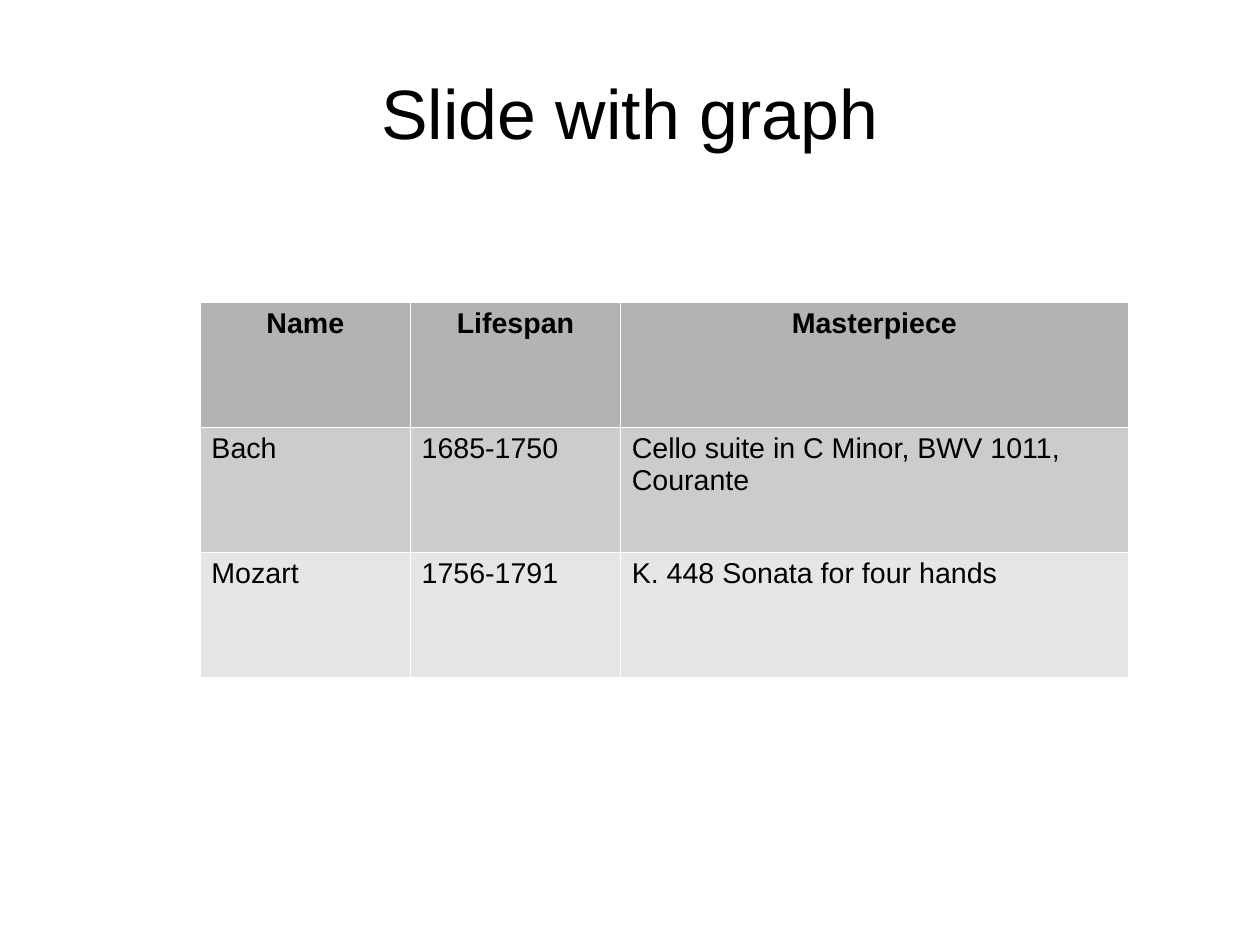
from dataclasses import dataclass

from lxml import etree
from pptx import Presentation
from pptx.dml.color import RGBColor
from pptx.enum.text import MSO_ANCHOR, PP_ALIGN
from pptx.oxml.ns import qn
from pptx.util import Cm, Pt

CENTER, LEFT = PP_ALIGN.CENTER, PP_ALIGN.LEFT
TOP, MIDDLE = MSO_ANCHOR.TOP, MSO_ANCHOR.MIDDLE
TITLE_ONLY = 5


@dataclass(frozen=True)
class Theme:
    font: str = "Arial"
    text: str = "000000"
    border: str = "FFFFFF"
    row_fills: tuple = ("B3B3B3", "CCCCCC", "E6E6E6")
    title_size: int = 44
    table_size: int = 18
    border_width: float = 0.06


THEME = Theme()
COMPOSERS = [
    ("Name", "Lifespan", "Masterpiece"),
    ("Bach", "1685-1750", "Cello suite in C Minor, BWV 1011, Courante"),
    ("Mozart", "1756-1791", "K. 448 Sonata for four hands"),
]
COLUMN_WIDTHS = (4.67, 4.67, 11.28)
ROW_HEIGHT = 2.78


def set_attrs(obj, values):
    for name, value in values.items():
        setattr(obj, name, value)


def write(tf, text, size, align, bold=False):
    p = tf.paragraphs[0]
    p.alignment = align
    r = p.add_run()
    r.text = text
    set_attrs(r.font, {"name": THEME.font, "size": Pt(size), "bold": bold})
    r.font.color.rgb = RGBColor.from_string(THEME.text)
    return p


def add_title(slide, text):
    sp = slide.shapes.title
    set_attrs(sp, {"left": Cm(1.4), "top": Cm(0.84),
                   "width": Cm(25.2), "height": Cm(3.51)})
    tf = sp.text_frame
    set_attrs(tf, {"margin_left": 0, "margin_right": 0, "margin_top": 0,
                   "margin_bottom": 0, "word_wrap": True,
                   "vertical_anchor": MIDDLE})
    write(tf, text, THEME.title_size, CENTER).line_spacing = 0.9


def add_borders(cell):
    tc_pr = cell._tc.get_or_add_tcPr()
    for side in ("a:lnL", "a:lnR", "a:lnT", "a:lnB"):
        ln = etree.SubElement(tc_pr, qn(side), w=str(Pt(THEME.border_width)))
        fill = etree.SubElement(ln, qn("a:solidFill"))
        etree.SubElement(fill, qn("a:srgbClr"), val=THEME.border)


def format_cell(cell, text, fill, header):
    add_borders(cell)
    cell.fill.solid()
    cell.fill.fore_color.rgb = RGBColor.from_string(fill)
    set_attrs(cell, {"margin_left": Cm(0.25), "margin_right": Cm(0.25),
                     "margin_top": Cm(0.13), "margin_bottom": Cm(0.13),
                     "vertical_anchor": TOP})
    write(cell.text_frame, text, THEME.table_size,
          CENTER if header else LEFT, header)


def add_composer_table(slide, rows):
    table = slide.shapes.add_table(
        len(rows), len(COLUMN_WIDTHS), Cm(4.45), Cm(6.71),
        Cm(sum(COLUMN_WIDTHS)), Cm(ROW_HEIGHT * len(rows))).table
    for column, width in zip(table.columns, COLUMN_WIDTHS):
        column.width = Cm(width)
    for i, (values, fill) in enumerate(zip(rows, THEME.row_fills)):
        table.rows[i].height = Cm(ROW_HEIGHT)
        for j, text in enumerate(values):
            format_cell(table.cell(i, j), text, fill, header=i == 0)


def main():
    """Build the slide with the table of composers."""
    prs = Presentation()
    set_attrs(prs, {"slide_width": Cm(28), "slide_height": Cm(21)})
    slide = prs.slides.add_slide(prs.slide_layouts[TITLE_ONLY])
    add_title(slide, "Slide with graph")
    add_composer_table(slide, COMPOSERS)
    prs.save("out.pptx")


if __name__ == "__main__":
    main()
